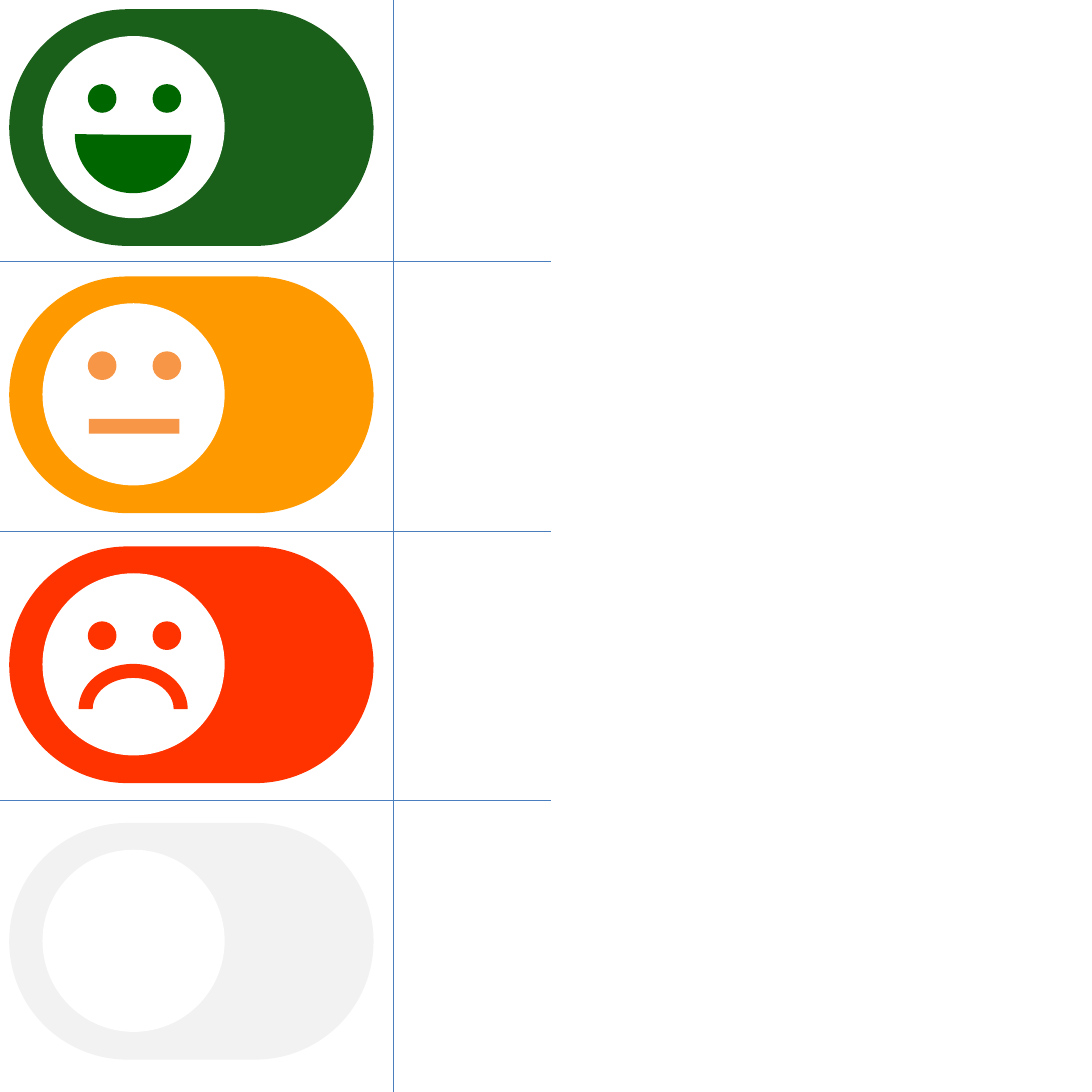
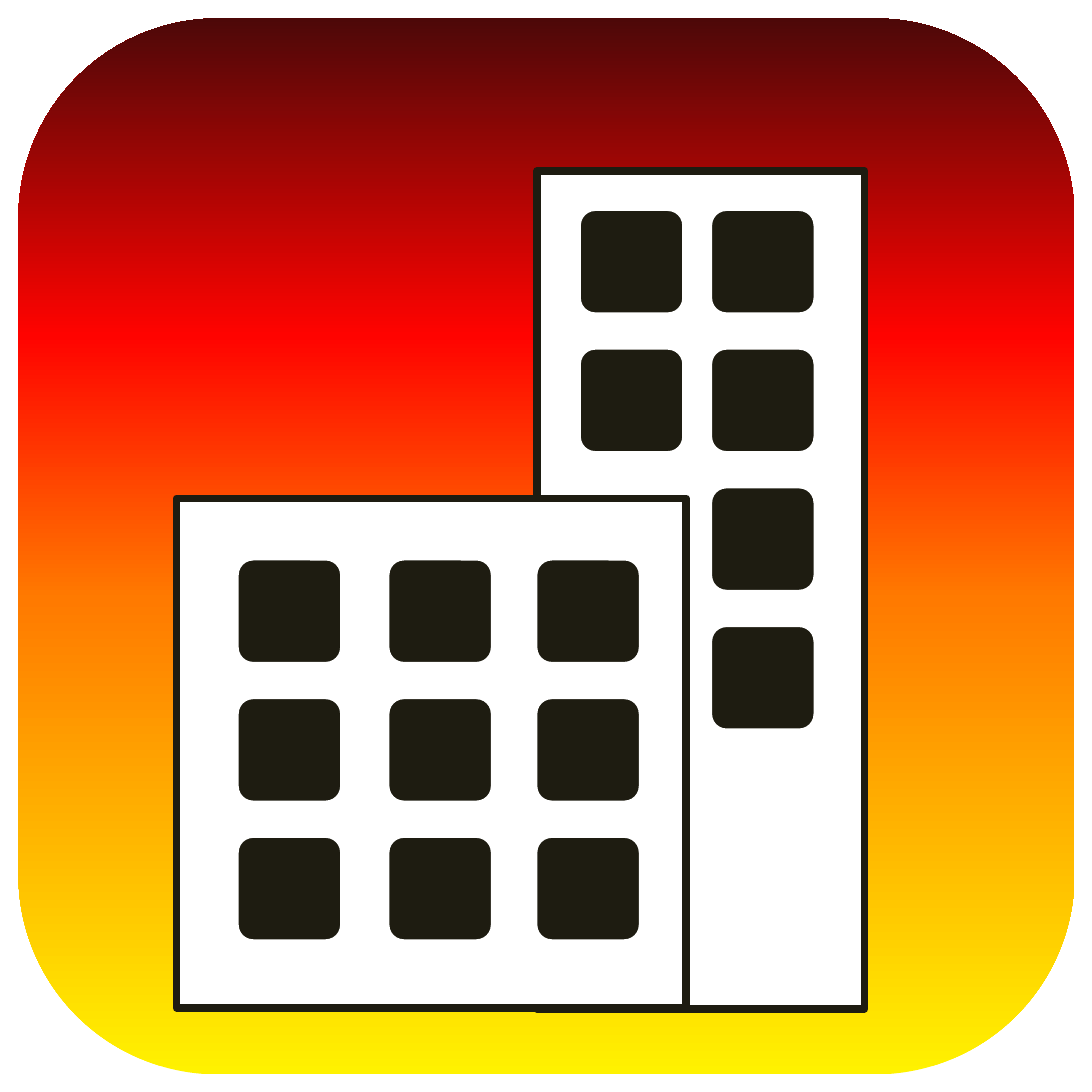
from pptx import Presentation, util as u
from pptx.dml.color import RGBColor
from pptx.enum import shapes
from pptx.oxml import parse_xml
from pptx.oxml.ns import nsdecls, qn

KIND = shapes.MSO_SHAPE
SIDE = 11.81
HEX = {
    "white": "FFFFFF", "green": "1A5F1A", "leaf": "006600",
    "amber": "FF9900", "peach": "F79646", "red": "FF3300",
    "grey": "F2F2F2", "rule": "4B7EBC", "ink": "1E1C11",
}
SUNSET = [(0, "FFF200"), (45, "FF7A00"), (70, "FF0300"), (100, "4D0808")]


def tint(name):
    return RGBColor.from_string(HEX[name])


class Deck:
    """Holds the shared style and the current slide."""

    def __init__(self):
        self.prs = Presentation()
        self.prs.slide_width = self.prs.slide_height = u.Inches(SIDE)

    def page(self):
        self.slide = self.prs.slides.add_slide(self.prs.slide_layouts[6])

    def shape(self, kind, x, y, w, h, fill=None, line=None, adj=()):
        item = self.slide.shapes.add_shape(
            kind, *(u.Inches(n) for n in (x, y, w, h)))
        item.shadow.inherit = False
        for i, val in enumerate(adj):
            item.adjustments[i] = val
        if fill:
            item.fill.solid()
            item.fill.fore_color.rgb = tint(fill)
        if line:
            item.line.color.rgb = tint(line)
            item.line.width = u.Pt(6)
        else:
            item.line.fill.background()
        return item

    def blend(self, item, stops):
        """Fill from bottom to top with any number of stops."""
        item.fill.gradient()
        item.fill.gradient_angle = 90
        track = next(item._element.spPr.iter(qn("a:gsLst")))
        for old in list(track):
            track.remove(old)
        for pos, code in stops:
            track.append(parse_xml(
                f'<a:gs {nsdecls("a")} pos="{pos * 1000}">'
                f'<a:srgbClr val="{code}"/></a:gs>'))

    def rule(self, x1, y1, x2, y2):
        item = self.slide.shapes.add_connector(
            shapes.MSO_CONNECTOR.STRAIGHT,
            *(u.Inches(n) for n in (x1, y1, x2, y2)))
        item.line.color.rgb = tint("rule")
        item.line.width = u.Pt(0.75)
        item._element.spPr.append(
            parse_xml(f'<a:effectLst {nsdecls("a")}/>'))

    def switch(self, top, fill, ink=None, mouth=None):
        """Draw a toggle; its knob may carry a face."""
        self.shape(KIND.ROUNDED_RECTANGLE, 0.1, top, 3.94, 2.56, fill,
                   adj=[0.5])
        self.shape(KIND.OVAL, 0.46, top + 0.29, 1.97, 1.97, "white")
        if mouth:
            for x in (0.95, 1.65):
                self.shape(KIND.OVAL, x, top + 0.81, 0.31, 0.31, ink)
            kind, x, drop, w, h, adj = mouth
            self.shape(kind, x, top + drop, w, h, ink, adj=adj)

    def panes(self, lefts, tops):
        """Draw a grid of windows."""
        for y in tops:
            for x in lefts:
                self.shape(KIND.ROUNDED_RECTANGLE, x, y, 1.18, 1.18,
                           "ink", "white")


deck = Deck()

# Slide 1: mood switches
# Mouth: kind, left, drop below the switch top, width, height, adjustments
smile = (KIND.PIE, 0.81, 0.73, 1.26, 1.26, [0, 108.515])
flat = (KIND.RECTANGLE, 0.96, 1.54, 0.98, 0.16, [])
frown = (KIND.BLOCK_ARC, 0.85, 1.27, 1.18, 0.98, [108, 0, 0.155])

deck.page()
deck.switch(0.1, "green", "leaf", smile)
deck.switch(2.99, "amber", "peach", flat)
deck.switch(5.91, "red", "red", frown)
deck.switch(8.9, "grey")
for y in (2.83, 5.75, 8.66):
    deck.rule(0, y, 5.96, y)
deck.rule(4.25, SIDE, 4.25, 0)

# Slide 2: buildings at sunset
deck.page()
sky = deck.shape(KIND.ROUNDED_RECTANGLE, 0.2, 0.2, 11.42, 11.42, adj=[0.189])
deck.blend(sky, SUNSET)
deck.shape(KIND.RECTANGLE, 5.81, 1.85, 3.54, 9.06, "white", "ink")
deck.shape(KIND.RECTANGLE, 1.91, 5.39, 5.51, 5.51, "white", "ink")

STEP = 1.5
high = [2.24 + STEP * i for i in range(4)]
low = [6.02 + STEP * i for i in range(3)]
deck.panes((2.54, 4.17, 5.77), low)
deck.panes((6.24, 7.66), high[:2])
deck.panes((7.66,), high[2:])

deck.prs.save("out.pptx")
